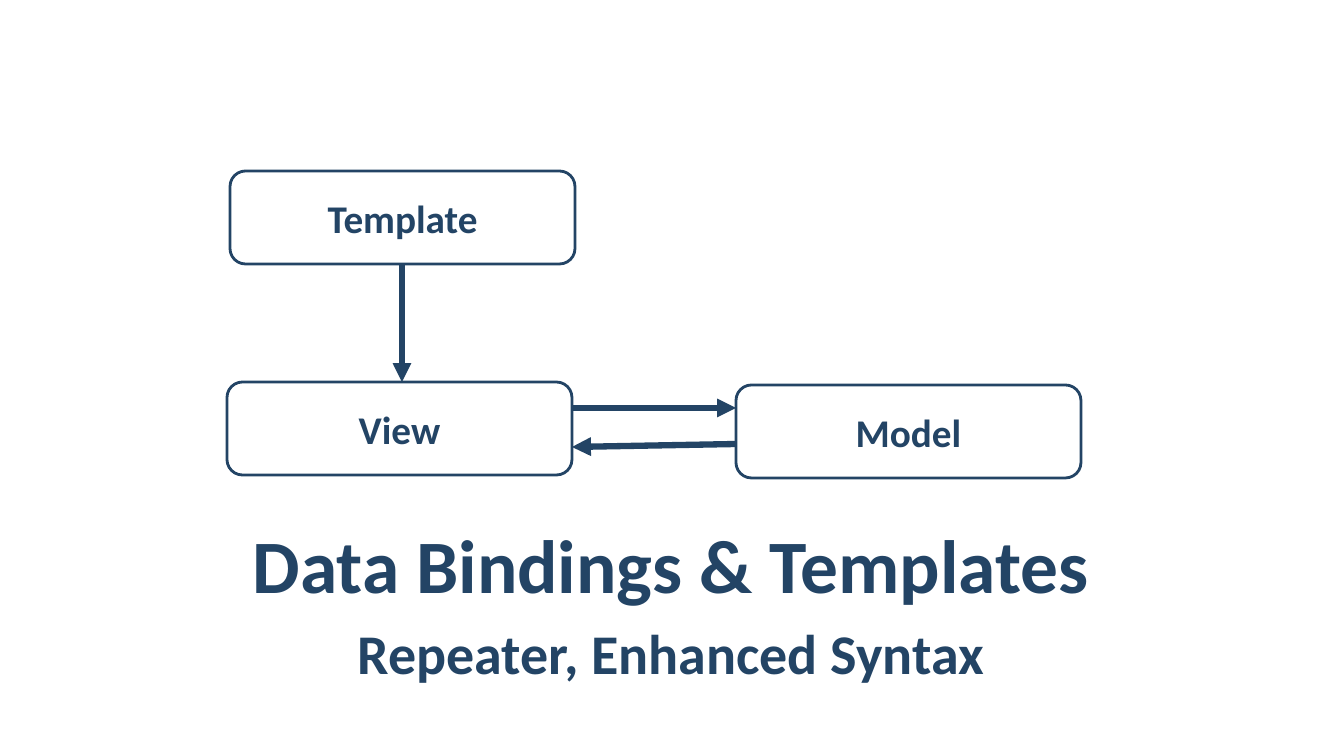
from lxml.etree import SubElement
from pptx import Presentation
from pptx.dml.color import RGBColor
from pptx.enum.shapes import MSO_CONNECTOR, MSO_SHAPE
from pptx.enum.text import MSO_ANCHOR, MSO_AUTO_SIZE, PP_ALIGN
from pptx.oxml.ns import qn
from pptx.util import Emu, Pt

NAVY = "234465"
WHITE = "FFFFFF"
BOX_W, BOX_H = 345, 93


def px(n):
    return Emu(round(n * 914400 / 100.8))


def color(value):
    return RGBColor.from_string(value)


def write(sp, text, size, inset=(10, 5), spacing=None, gap=0):
    tf = sp.text_frame
    tf.word_wrap = True
    tf.auto_size = MSO_AUTO_SIZE.NONE
    tf.vertical_anchor = MSO_ANCHOR.MIDDLE
    tf.margin_left = tf.margin_right = px(inset[0])
    tf.margin_top = tf.margin_bottom = px(inset[1])
    p = tf.paragraphs[0]
    p.alignment = PP_ALIGN.CENTER
    p.line_spacing = spacing
    p.space_before = p.space_after = Pt(gap)
    r = p.add_run()
    r.text = text
    r.font.name = "Calibri"
    r.font.size = Pt(size)
    r.font.bold = True
    r.font.color.rgb = color(NAVY)


def add_node(s, text, x, y):
    sp = s.shapes.add_shape(MSO_SHAPE.ROUNDED_RECTANGLE, px(x), px(y), px(BOX_W), px(BOX_H))
    sp.shadow.inherit = False
    sp.fill.solid()
    sp.fill.fore_color.rgb = color(WHITE)
    sp.line.color.rgb = color(NAVY)
    sp.line.width = Pt(2)
    write(sp, text, 28)


def add_arrow(s, x1, y1, x2, y2):
    cx = s.shapes.add_connector(MSO_CONNECTOR.STRAIGHT, px(x1), px(y1), px(x2), px(y2))
    cx.line.color.rgb = color(NAVY)
    cx.line.width = Pt(4.5)
    SubElement(cx.line._get_or_add_ln(), qn("a:tailEnd"), type="triangle")
    SubElement(cx._element.spPr, qn("a:effectLst"))


def add_diagram(s, x, y):
    view_y = y + 211
    view_right = x + BOX_W
    model_x = view_right + 164
    mid_x = x + 175
    add_node(s, "Template", x + 3, y)
    add_node(s, "View", x, view_y)
    add_node(s, "Model", model_x, view_y + 3)
    add_arrow(s, mid_x, y + BOX_H, mid_x, view_y)
    add_arrow(s, view_right, view_y + 26, model_x, view_y + 26)
    add_arrow(s, model_x, view_y + 62, view_right, view_y + 65)


def add_heading(s, x, y, w):
    style = dict(inset=(12, 4), spacing=1.05, gap=6)
    title = s.shapes.title
    title.left, title.top, title.width, title.height = px(x), px(y), px(w), px(85)
    write(title, "Data Bindings & Templates", 53.9, **style)
    subtitle = s.shapes.add_textbox(px(x), px(y + 103), px(w), px(56))
    write(subtitle, "Repeater, Enhanced Syntax", 40, **style)


def main():
    prs = Presentation()
    prs.slide_width, prs.slide_height = px(1344), px(756)
    s = prs.slides.add_slide(prs.slide_layouts[5])
    s.background.fill.solid()
    s.background.fill.fore_color.rgb = color(WHITE)
    add_diagram(s, 227, 171)
    add_heading(s, 67, 519, 1208)
    prs.save("out.pptx")


if __name__ == "__main__":
    main()
